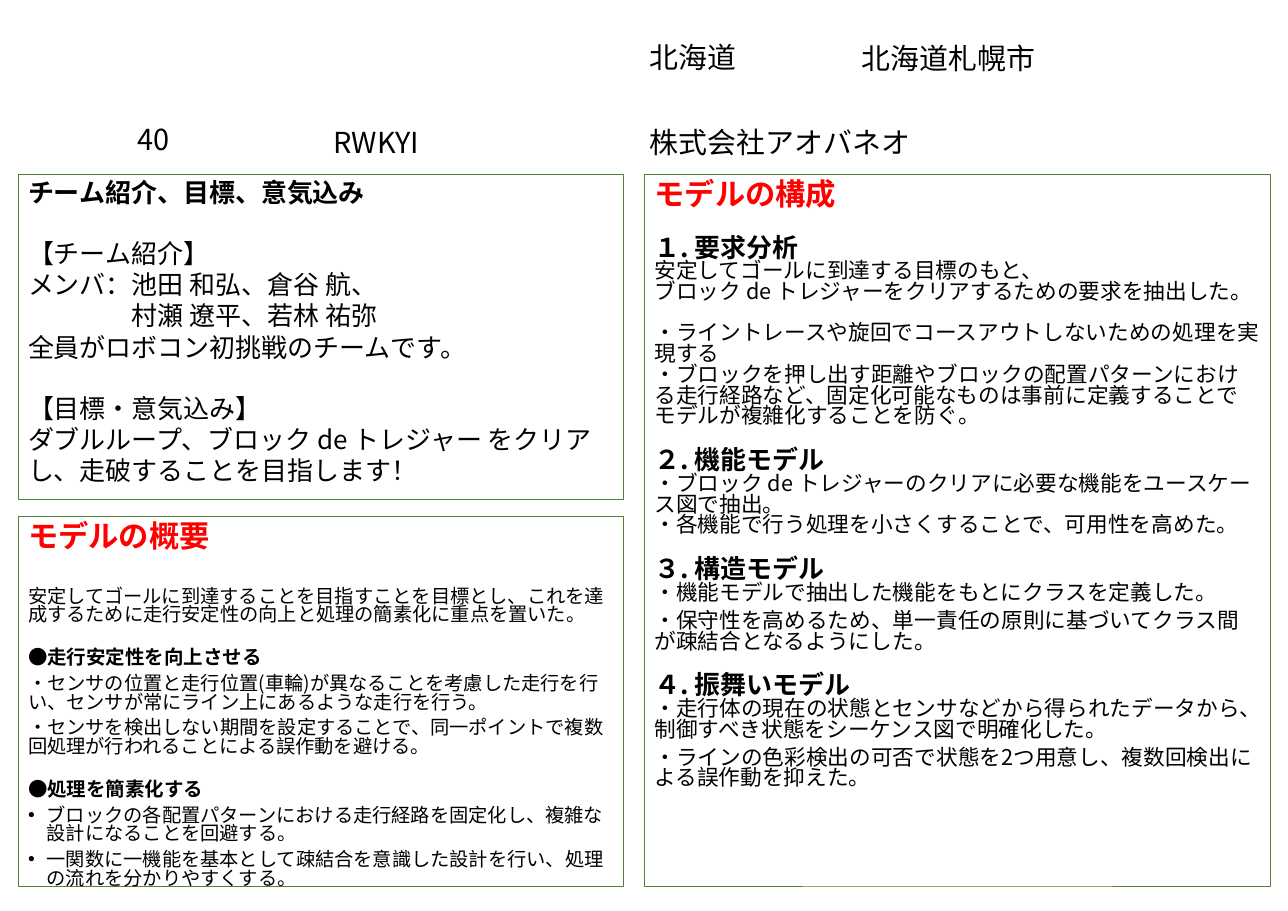
from typing import NamedTuple

from lxml.etree import SubElement
from pptx import Presentation
from pptx.dml.color import RGBColor
from pptx.enum.text import MSO_ANCHOR as Anchor, MSO_AUTO_SIZE as Fit, PP_ALIGN as Align
from pptx.oxml.ns import qn
from pptx.util import Emu, Inches, Pt

WIDE, HIGH = Inches(16.53), Inches(11.69)
BLACK = RGBColor(0, 0, 0)
RED = RGBColor(255, 0, 0)
GREEN = RGBColor(0x54, 0x82, 0x35)
SANS, SERIF = "Noto Sans CJK JP", "Times New Roman"


class Look(NamedTuple):
    size: float
    gap: float = 0
    bold: bool = False
    color: RGBColor = BLACK
    face: str = SANS
    pitch: float = 0.96
    hang: float = 0
    mark: str = ""


LABEL = Look(26.7, pitch=1.2)
TITLE = Look(28, bold=True, color=RED, face=SERIF)
INTRO = Look(24, bold=True, face=SERIF)
TEAM = Look(24, pitch=1.2)
OPEN = TEAM._replace(gap=28)
CREW = TEAM._replace(hang=96)
LEAD = Look(17.8, gap=32.5)
POINT = Look(18, gap=22.5, bold=True)
NOTE = Look(17.8, gap=6.7)
ITEM = NOTE._replace(hang=17.3, mark="•")
HEAD = Look(24, gap=20, bold=True)
FIRST = HEAD._replace(gap=24)
BODY = Look(20)
NEXT = BODY._replace(gap=6.7)
APART = BODY._replace(gap=19)

LABELS = [
    ("40", 9.68, 12.49, 5.32, 5.56),
    ("株式会社アオバネオ", 49.49, 12.83, 32.85, 5.56),
    ("北海道", 49.49, 3.51, 12.7, 5.56),
    ("北海道札幌市", 65.94, 3.59, 17, 5.56),
]

GOALS = [
    ("チーム紹介、目標、意気込み", INTRO),
    ("【チーム紹介】", OPEN),
    ("メンバ：池田 和弘、倉谷 航、\v村瀬 遼平、若林 祐弥", CREW),
    ("全員がロボコン初挑戦のチームです。", TEAM),
    ("【目標・意気込み】\vダブルループ、ブロック de トレジャー をクリアし、走破することを目指します！", OPEN),
]

OUTLINE = [
    ("モデルの概要", TITLE),
    ("安定してゴールに到達することを目指すことを目標とし、これを達成するために走行安定性の向上と処理の簡素化に重点を置いた。", LEAD),
    ("●走行安定性を向上させる", POINT),
    ("・センサの位置と走行位置(車輪)が異なることを考慮した走行を行い、センサが常にライン上にあるような走行を行う。", NOTE),
    ("・センサを検出しない期間を設定することで、同一ポイントで複数回処理が行われることによる誤作動を避ける。", NOTE),
    ("●処理を簡素化する", POINT),
    ("ブロックの各配置パターンにおける走行経路を固定化し、複雑な設計になることを回避する。", ITEM),
    ("一関数に一機能を基本として疎結合を意識した設計を行い、処理の流れを分かりやすくする。", ITEM),
]

MODELS = [
    ("モデルの構成", TITLE),
    ("１. 要求分析", FIRST),
    ("安定してゴールに到達する目標のもと、\vブロック de トレジャーをクリアするための要求を抽出した。", BODY),
    ("・ライントレースや旋回でコースアウトしないための処理を実現する", APART),
    ("・ブロックを押し出す距離やブロックの配置パターンにおける走行経路など、固定化可能なものは事前に定義することでモデルが複雑化することを防ぐ。", BODY),
    ("２. 機能モデル", HEAD),
    ("・ブロック de トレジャーのクリアに必要な機能をユースケース図で抽出。", BODY),
    ("・各機能で行う処理を小さくすることで、可用性を高めた。", BODY),
    ("３. 構造モデル", HEAD),
    ("・機能モデルで抽出した機能をもとにクラスを定義した。", BODY),
    ("・保守性を高めるため、単一責任の原則に基づいてクラス間が疎結合となるようにした。", NEXT),
    ("４. 振舞いモデル", HEAD),
    ("・走行体の現在の状態とセンサなどから得られたデータから、制御すべき状態をシーケンス図で明確化した。", BODY),
    ("・ラインの色彩検出の可否で状態を2つ用意し、複数回検出による誤作動を抑えた。", NEXT),
]

PANELS = [
    (GOALS, 1.39, 19.16, 47, 35.67),
    (OUTLINE, 1.39, 56.72, 47, 40.63),
    (MODELS, 50.03, 19.16, 48.58, 78.1),
]


def area(x, y, w, h):
    """Turn percentages of the slide into a left, top, width and height."""
    return [Emu(int(side * part / 100)) for side, part in zip((WIDE, HIGH) * 2, (x, y, w, h))]


def place(shape, x, y, w, h):
    """Move a placeholder to its share of the slide."""
    shape.left, shape.top, shape.width, shape.height = area(x, y, w, h)


def dress(para, text, look):
    """Write one paragraph in the given look."""
    para.text = text
    para.alignment = Align.LEFT
    para.line_spacing = Pt(look.size * look.pitch)
    para.space_before, para.space_after = Pt(look.gap), Pt(0)
    props = para._p.get_or_add_pPr()
    props.set("marL", str(Pt(look.hang)))
    props.set("indent", str(-Pt(look.hang)))
    if look.mark:
        SubElement(props, qn("a:buFont"), typeface="Arial")
        SubElement(props, qn("a:buChar"), char=look.mark)
    else:
        SubElement(props, qn("a:buNone"))
    font = para.font
    font.size, font.bold, font.name = Pt(look.size), look.bold, look.face
    font.color.rgb = look.color
    SubElement(font._rPr, qn("a:ea"), typeface=SANS)


def fill(shape, lines, anchor, side, edge):
    """Set up a text frame and write its lines."""
    frame = shape.text_frame
    frame.word_wrap, frame.auto_size = True, Fit.NONE
    frame.vertical_anchor = anchor
    frame.margin_left = frame.margin_right = Inches(side)
    frame.margin_top = frame.margin_bottom = Inches(edge)
    for spot, (text, look) in enumerate(lines):
        para = frame.add_paragraph() if spot else frame.paragraphs[0]
        dress(para, text, look)


def label(shape, text):
    """Write a one-line entry."""
    fill(shape, [(text, LABEL)], Anchor.MIDDLE, 0.16, 0.08)


def panel(shape, lines, *share):
    """Turn a body placeholder into a framed panel."""
    place(shape, *share)
    shape.line.color.rgb, shape.line.width = GREEN, Pt(0.75)
    fill(shape, lines, Anchor.TOP, 0.13, 0.1)


def main():
    """Build the team sheet."""
    deck = Presentation()
    deck.slide_width, deck.slide_height = WIDE, HIGH
    slide = deck.slides.add_slide(deck.slide_layouts[4])
    team, *bodies = slide.placeholders
    place(team, 24.92, 13.26, 14.82, 4.62)
    label(team, "RWKYI")
    for text, *share in LABELS:
        label(slide.shapes.add_textbox(*area(*share)), text)
    for body, (lines, *share) in zip(bodies, PANELS):
        panel(body, lines, *share)
    spare = bodies[-1].element
    spare.getparent().remove(spare)
    deck.save("out.pptx")


if __name__ == "__main__":
    main()
